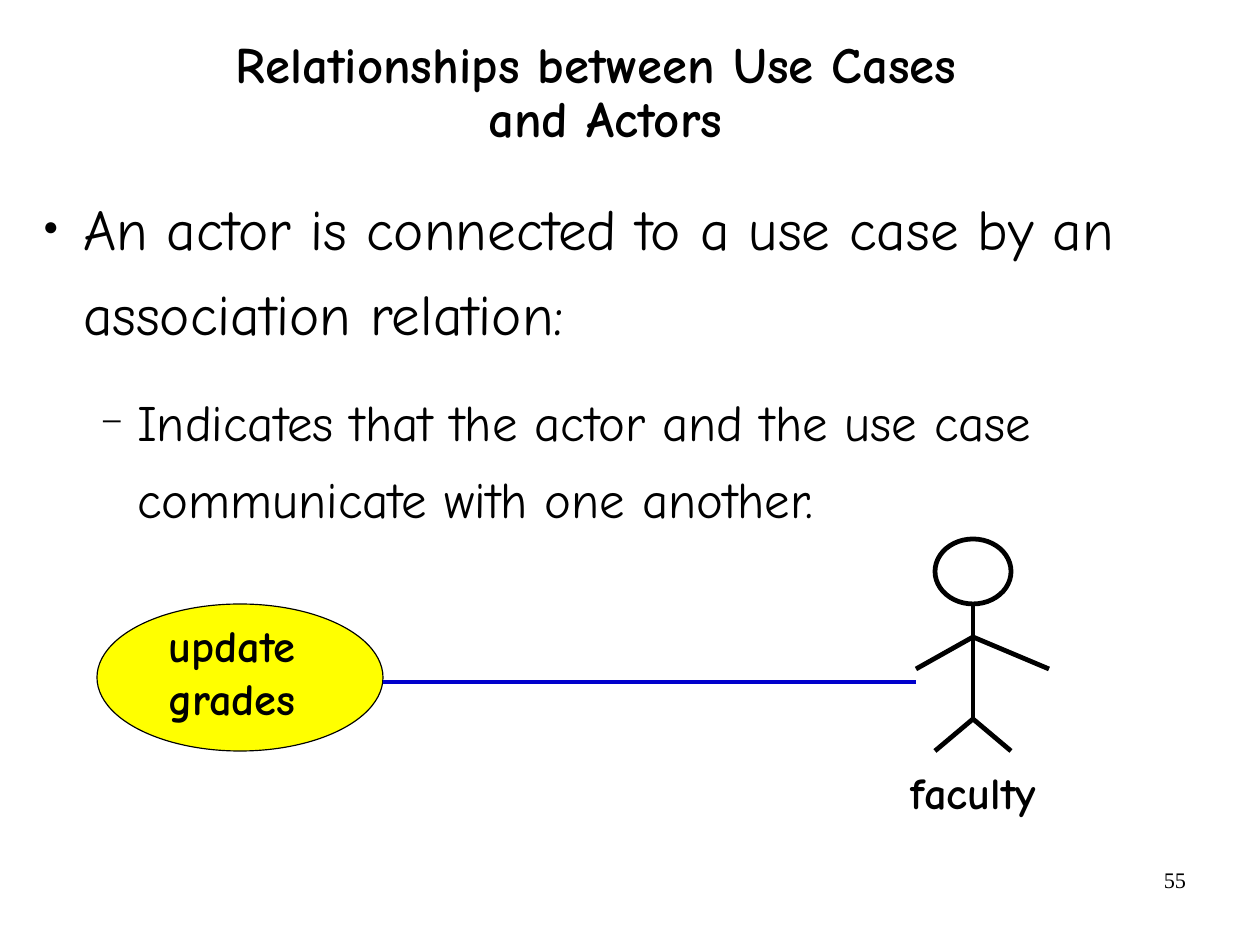
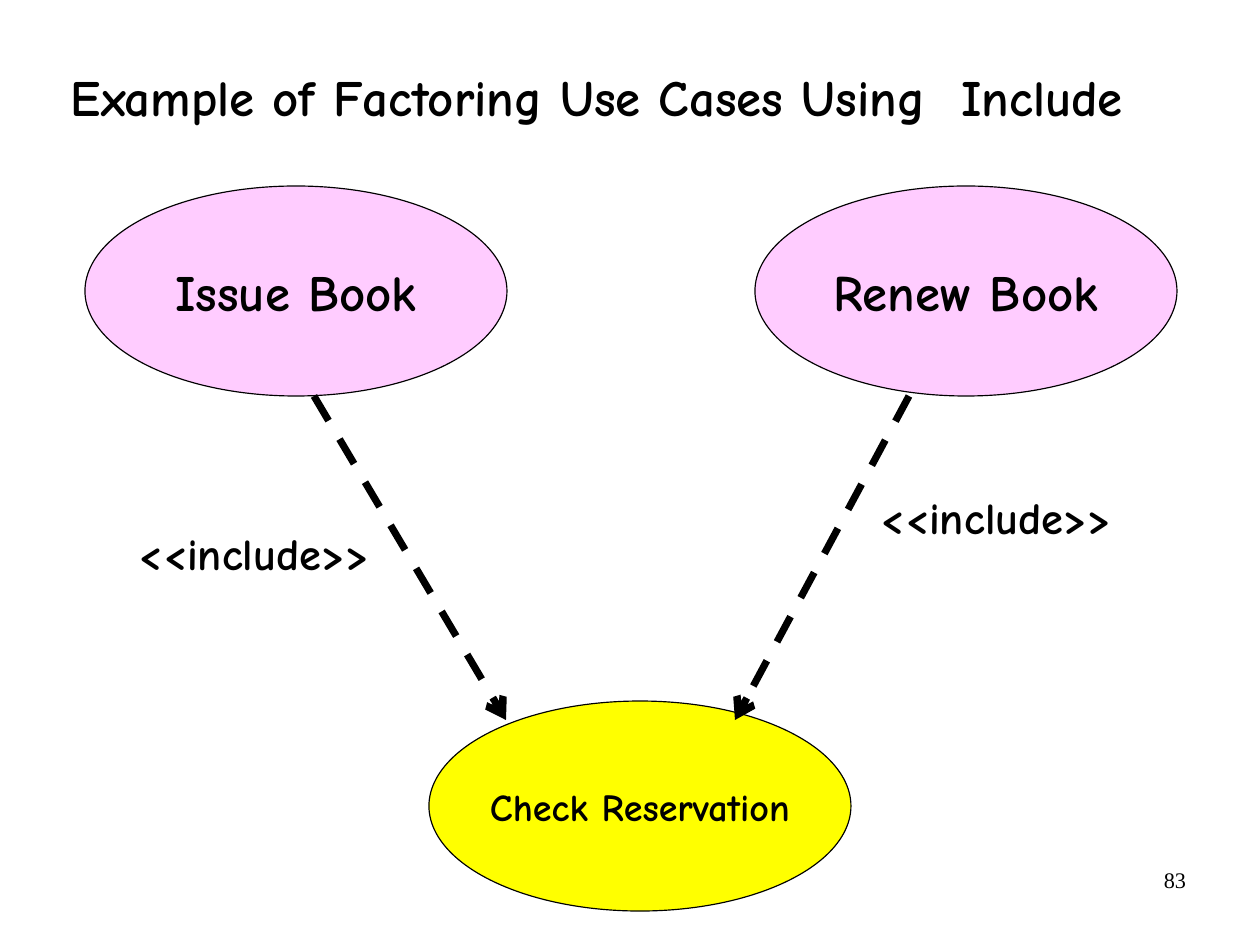
from pptx import Presentation
from pptx.dml.color import RGBColor
from pptx.enum.dml import MSO_LINE
from pptx.enum.shapes import MSO_CONNECTOR, MSO_SHAPE
from pptx.enum.text import MSO_ANCHOR, PP_ALIGN
from pptx.oxml.ns import qn
from pptx.util import Pt
from lxml.etree import SubElement

# Shared style: one px is 8000 EMU
PX = 8000
W, H = 1260, 945
FONT, NUMBER_FONT = "Comic Neue", "Times New Roman"
BLACK, YELLOW, PINK, BLUE = "000000", "FFFF00", "FFCCFF", "0000CC"
LEFT, CENTER, RIGHT = PP_ALIGN.LEFT, PP_ALIGN.CENTER, PP_ALIGN.RIGHT
TOP, MIDDLE = MSO_ANCHOR.TOP, MSO_ANCHOR.MIDDLE
LABEL_INSETS, PAGE_INSETS = (13, 7), (11, 6)
PAGE_BOX = (903, 860, 294, 65)

# Slide 1: an actor connected to a use case
ACTOR_TITLE = ["Relationships between Use Cases ", "and Actors"]
BODY_BOX = (30, 176, 1230, 677)
# text, size, left margin, indent, bullet, bullet size %, space before, after
BODY = [
    ("An actor is connected to a use case by an association relation:",
     36, 53, -40, "●", 45, 0, 6),
    ("Indicates that the actor and the use case communicate with one another.",
     32, 107, -36, "−", 75, 12, 0),
]
USE_CASE = (97, 604, 286, 147)
USE_CASE_LABEL = (["update", "grades"], (101, 611, 262, 120))
HEAD = (935, 539, 76, 65)
NECK, SHOULDER, HIP = (973, 604), (973, 637), (973, 719)
LIMBS = [
    (NECK, HIP),
    (SHOULDER, (1049, 669)), (SHOULDER, (916, 669)),
    (HIP, (1011, 751)), (HIP, (935, 751)),
]
ACTOR_LABEL = (["faculty"], (869, 758, 209, 66))
ASSOCIATION = ((916, 682), (383, 682))

# Slide 2: two use cases that include a third
INCLUDE_TITLE = ["Example of Factoring Use Cases Using  Include "]
OVAL_W, OVAL_H = 422, 210
OVALS = [
    ("Issue Book", 85, 186, PINK, 32),
    ("Check Reservation", 429, 701, YELLOW, 24),
    ("Renew Book", 755, 186, PINK, 32),
]
INCLUDES = [
    ((314, 396), (506, 720), (126, 519, 279, 66)),
    ((909, 396), (735, 720), (868, 483, 279, 66)),
]

prs = Presentation()
prs.slide_width, prs.slide_height = W * PX, H * PX


def color(value):
    return RGBColor.from_string(value)


def scaled(box):
    return [v * PX for v in box]


def set_frame(tf, insets=(0, 0), anchor=TOP, wrap=True):
    tf.margin_left = tf.margin_right = insets[0] * PX
    tf.margin_top = tf.margin_bottom = insets[1] * PX
    tf.vertical_anchor = anchor
    tf.word_wrap = wrap


def add_run(p, text, size, bold=True, font=FONT):
    r = p.add_run()
    r.text = text
    r.font.size, r.font.bold, r.font.name = Pt(size), bold, font
    r.font.color.rgb = color(BLACK)


def next_paragraph(tf, i):
    return tf.add_paragraph() if i else tf.paragraphs[0]


def add_text(s, lines, box, size=28, align=CENTER, bold=True, font=FONT,
             wrap=True, insets=LABEL_INSETS):
    tf = s.shapes.add_textbox(*scaled(box)).text_frame
    set_frame(tf, insets, wrap=wrap)
    for i, line in enumerate(lines):
        p = next_paragraph(tf, i)
        p.alignment = align
        add_run(p, line, size, bold, font)


def add_ellipse(s, box, fill=None, weight=0.75):
    sp = s.shapes.add_shape(MSO_SHAPE.OVAL, *scaled(box))
    sp.shadow.inherit = False
    if fill:
        sp.fill.solid()
        sp.fill.fore_color.rgb = color(fill)
    else:
        sp.fill.background()
    sp.line.color.rgb = color(BLACK)
    sp.line.width = Pt(weight)
    return sp


def add_line(s, start, end, weight=3, line_color=BLACK, arrow=False):
    cx = s.shapes.add_connector(MSO_CONNECTOR.STRAIGHT,
                                *scaled(start + end))
    cx.line.color.rgb = color(line_color)
    cx.line.width = Pt(weight)
    if arrow:
        cx.line.dash_style = MSO_LINE.DASH
        ln = cx._element.spPr.find(qn("a:ln"))
        SubElement(ln, qn("a:tailEnd"), type="arrow")
    SubElement(cx._element.spPr, qn("a:effectLst"))


def new_slide(title, box, insets, spacing, number):
    s = prs.slides.add_slide(prs.slide_layouts[6])
    add_text(s, [number], PAGE_BOX, 14, RIGHT, False, NUMBER_FONT,
             insets=PAGE_INSETS)
    tf = s.shapes.add_textbox(*scaled(box)).text_frame
    set_frame(tf, insets, MIDDLE)
    p = tf.paragraphs[0]
    p.alignment, p.line_spacing = CENTER, spacing
    for i, line in enumerate(title):
        if i:
            p.add_line_break()
        add_run(p, line, 32)
    return s


def add_body(s):
    tf = s.shapes.add_textbox(*scaled(BODY_BOX)).text_frame
    set_frame(tf)
    for i, (text, size, margin, indent, mark, percent, before,
            after) in enumerate(BODY):
        p = next_paragraph(tf, i)
        pPr = p._p.get_or_add_pPr()
        pPr.set("marL", str(margin * PX))
        pPr.set("indent", str(indent * PX))
        clr = SubElement(pPr, qn("a:buClr"))
        SubElement(clr, qn("a:srgbClr"), val=BLACK)
        SubElement(pPr, qn("a:buSzPct"), val=str(percent * 1000))
        SubElement(pPr, qn("a:buFont"), typeface=NUMBER_FONT)
        SubElement(pPr, qn("a:buChar"), char=mark)
        p.level, p.line_spacing = i, 1.25
        p.space_before, p.space_after = Pt(before), Pt(after)
        add_run(p, text, size, bold=False)


def build_actor_slide():
    s = new_slide(ACTOR_TITLE, (30, 16, 1151, 157), (0, 0), 0.88, "55")
    add_body(s)
    add_ellipse(s, USE_CASE, YELLOW)
    add_text(s, *USE_CASE_LABEL)
    # Stick figure
    add_ellipse(s, HEAD, weight=3)
    for start, end in LIMBS:
        add_line(s, start, end)
    add_text(s, *ACTOR_LABEL)
    add_line(s, *ASSOCIATION, line_color=BLUE)


def build_include_slide():
    s = new_slide(INCLUDE_TITLE, (34, -25, 1145, 249), (2, 7), 0.94, "83")
    for text, x, y, fill, size in OVALS:
        tf = add_ellipse(s, (x, y, OVAL_W, OVAL_H), fill).text_frame
        set_frame(tf, LABEL_INSETS, MIDDLE, wrap=False)
        tf.paragraphs[0].alignment = CENTER
        add_run(tf.paragraphs[0], text, size)
    for start, end, _ in INCLUDES:
        add_line(s, start, end, 4.5, arrow=True)
    for _, _, box in INCLUDES:
        add_text(s, ["<<include>>"], box, align=LEFT, wrap=False)


def main():
    build_actor_slide()
    build_include_slide()
    prs.save("out.pptx")


if __name__ == "__main__":
    main()
